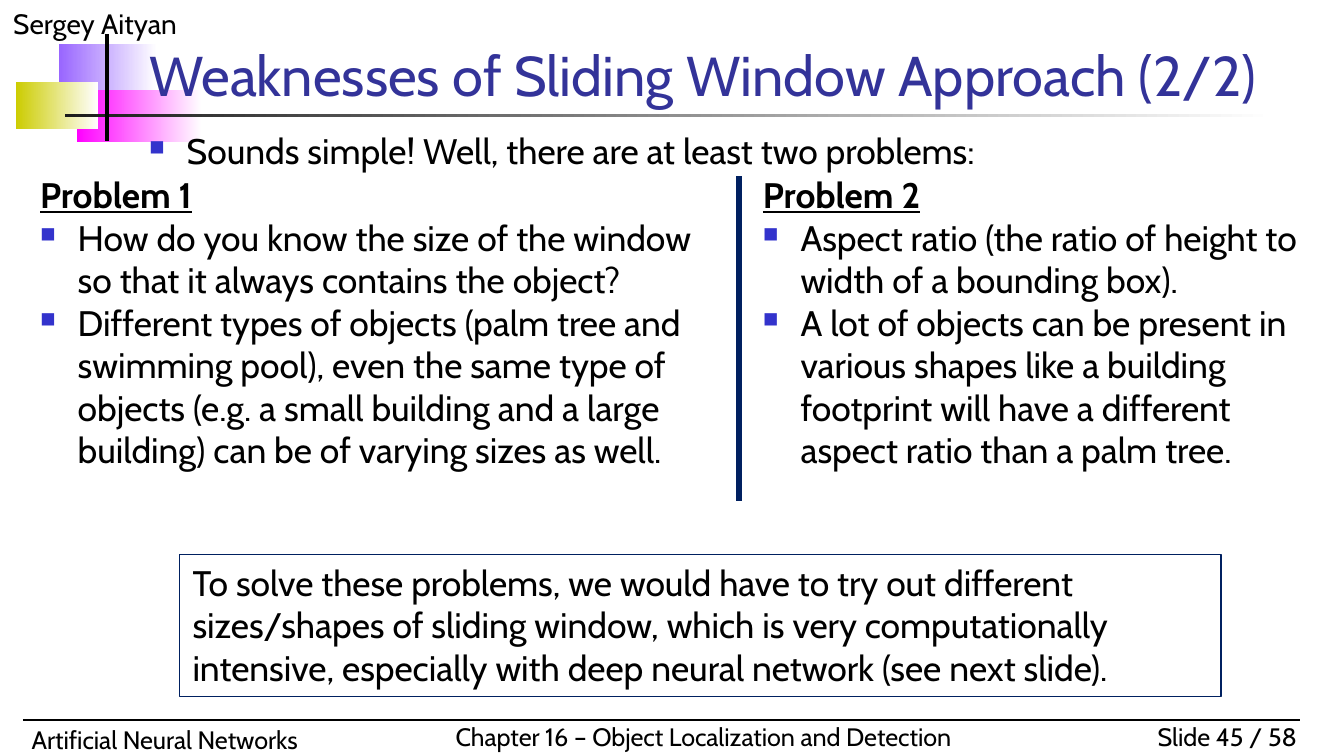
from dataclasses import dataclass

from lxml.etree import SubElement
from pptx import Presentation
from pptx.dml.color import RGBColor as RGB
from pptx.enum.shapes import MSO_CONNECTOR as CONN, MSO_SHAPE as SHAPE
from pptx.enum.text import MSO_ANCHOR as ANCHOR, PP_ALIGN as ALIGN
from pptx.oxml.ns import qn
from pptx.util import Cm, Pt


@dataclass(frozen=True)
class Theme:
    """Fonts, colours and type sizes of the deck."""
    font: str = "Cabin"
    ink: str = "000000"
    title: str = "333399"
    bullet: str = "3333CC"
    rule: str = "002060"
    white: str = "FFFFFF"
    violet: str = "9966FF"
    magenta: str = "FF00FF"
    olive: str = "CCCC00"
    charcoal: str = "1C1C1C"
    title_size: float = 30
    body_size: float = 19
    author_size: float = 15
    footer_size: float = 13.5


THEME = Theme()


def style(p, size, color=THEME.ink, bold=False):
    """Format every run of a paragraph; headings are bold and underlined."""
    for r in p.runs:
        f = r.font
        f.name, f.size, f.color.rgb = THEME.font, Pt(size), RGB.from_string(color)
        f.bold = f.underline = bold


def add_bullet(p):
    """Give a paragraph a small square bullet with a hanging indent."""
    pPr = p._p.get_or_add_pPr()
    pPr.set("marL", str(Cm(0.71)))
    pPr.set("indent", str(-Cm(0.71)))
    clr = SubElement(pPr, qn("a:buClr"))
    SubElement(clr, qn("a:srgbClr"), val=THEME.bullet)
    SubElement(pPr, qn("a:buSzPct"), val="60000")
    SubElement(pPr, qn("a:buChar"), char="■")


def add_text(s, box, text, size, color=THEME.ink, align=ALIGN.LEFT, anchor=ANCHOR.TOP):
    """Place one wrapped paragraph in a box."""
    sp = s.shapes.add_textbox(*map(Cm, box))
    tf = sp.text_frame
    tf.word_wrap, tf.vertical_anchor = True, anchor
    p = tf.paragraphs[0]
    p.text, p.alignment = text, align
    style(p, size, color)
    return sp


def add_line(s, start, end, color, width):
    """Draw a straight line without shadow."""
    line = s.shapes.add_connector(CONN.STRAIGHT, *map(Cm, start + end))
    line.line.color.rgb, line.line.width = RGB.from_string(color), Pt(width)
    SubElement(line._element.spPr, qn("a:effectLst"))


def add_fade(s, box, color):
    """Draw a rectangle fading from a colour to white."""
    sp = s.shapes.add_shape(SHAPE.RECTANGLE, *map(Cm, box))
    sp.shadow.inherit = False
    sp.line.fill.background()
    sp.fill.gradient()
    sp.fill.gradient_angle = 0
    for stop, tint in zip(sp.fill.gradient_stops, (color, THEME.white)):
        stop.color.rgb = RGB.from_string(tint)


def add_header(s, box, author, title):
    """Place the author, the decoration and the slide title."""
    x, y, w, h = box
    add_fade(s, (x + 1.12, y + 0.84, 1.85, 0.99), THEME.violet)
    add_fade(s, (x + 1.45, y + 1.7, 2.36, 0.99), THEME.magenta)
    add_fade(s, (x + 0.3, y + 1.55, 1.55, 0.89), THEME.olive)
    add_fade(s, (x + 1.22, y + 2.15, w - 2.54, 0.07), THEME.charcoal)
    add_text(s, (x, y, 6.35, 0.89), author, THEME.author_size)
    add_line(s, (x + 2.03, y + 0.64), (x + 2.03, y + h), THEME.ink, 2)
    add_text(s, (x + 2.57, y + 0.79, w - 3, 1.37), title, THEME.title_size,
             THEME.title, anchor=ANCHOR.BOTTOM)


def add_problem(s, box, heading, points):
    """Place an underlined heading with its bulleted points."""
    tf = add_text(s, box, heading, THEME.body_size).text_frame
    style(tf.paragraphs[0], THEME.body_size, bold=True)
    for point in points:
        p = tf.add_paragraph()
        p.text = point
        add_bullet(p)
        style(p, THEME.body_size)


def add_body(s, box, intro, left, right):
    """Place the intro and two problems parted by a vertical rule."""
    x, y, w, h = box
    lead = add_text(s, (x + 2.06, y, 21.3, 1.37), intro, THEME.body_size)
    add_bullet(lead.text_frame.paragraphs[0])
    top, split = y + 0.84, x + 13.46
    add_problem(s, (x, top, split - x, 5.31), *left)
    add_problem(s, (split + 0.2, top, x + w - split - 0.2, 5.31), *right)
    add_line(s, (split, top + 0.18), (split, y + h), THEME.rule, 3)


def add_conclusion(s, box, text):
    """Place the conclusion in a thin frame."""
    sp = add_text(s, box, text, THEME.body_size)
    sp.line.color.rgb, sp.line.width = RGB.from_string(THEME.rule), Pt(0.75)


def add_footer(s, box, course, chapter, number):
    """Place the footer rule and its three labels."""
    x, y, w, h = box
    add_line(s, (x, y), (x + w, y), THEME.ink, 0.75)
    for left, top, width, text, align in (
        (x - 0.08, y - 0.05, 7.5, course, ALIGN.LEFT),
        (x + 7.93, y - 0.1, 10.46, chapter, ALIGN.LEFT),
        (x + w - 3.61, y - 0.1, 3.81, number, ALIGN.RIGHT),
    ):
        add_text(s, (left, top, width, h), text, THEME.footer_size, align=align)


def main():
    """Build the slide and save it."""
    prs = Presentation()
    prs.slide_width, prs.slide_height = Cm(25.4), Cm(14.29)
    s = prs.slides.add_slide(prs.slide_layouts[6])
    add_header(s, (0, 0, 25.4, 2.67), "Sergey Aityan",
               "Weaknesses of Sliding Window Approach (2/2)")
    add_body(
        s, (0.51, 2.31, 24.28, 7.16),
        "Sounds simple! Well, there are at least two problems:",
        ("Problem 1", (
            "How do you know the size of the window so that it always contains the object?",
            "Different types of objects (palm tree and swimming pool), even the same type of "
            "objects (e.g. a small building and a large building) can be of varying sizes as well.",
        )),
        ("Problem 2", (
            "Aspect ratio (the ratio of height to width of a bounding box).",
            "A lot of objects can be present in various shapes like a building footprint "
            "will have a different aspect ratio than a palm tree.",
        )),
    )
    add_conclusion(
        s, (3.39, 10.48, 19.69, 2.69),
        "To solve these problems, we would have to try out different sizes/shapes of sliding "
        "window, which is very computationally intensive, especially with deep neural network "
        "(see next slide).")
    add_footer(s, (0.43, 13.61, 24.13, 0.84), "Artificial Neural Networks",
               "Chapter 16 – Object Localization and Detection", "Slide 45 / 58")
    prs.save("out.pptx")


if __name__ == "__main__":
    main()
